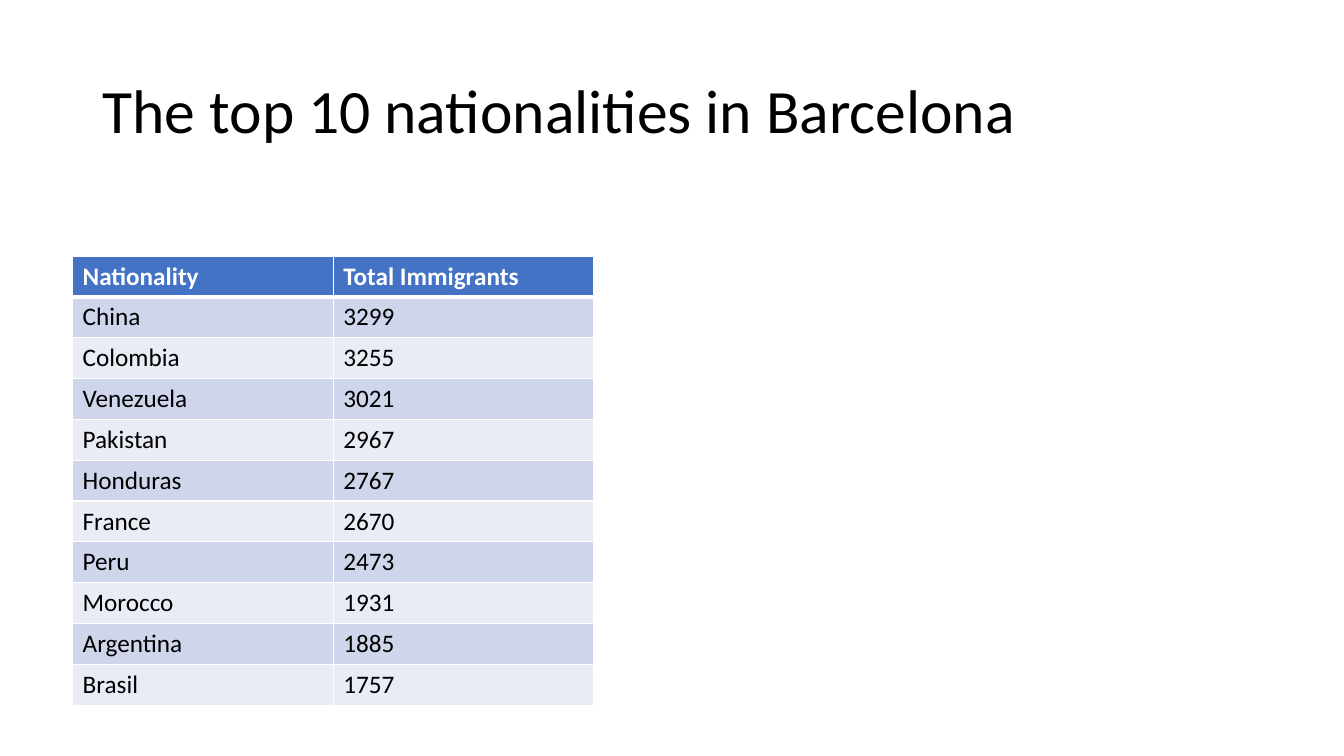
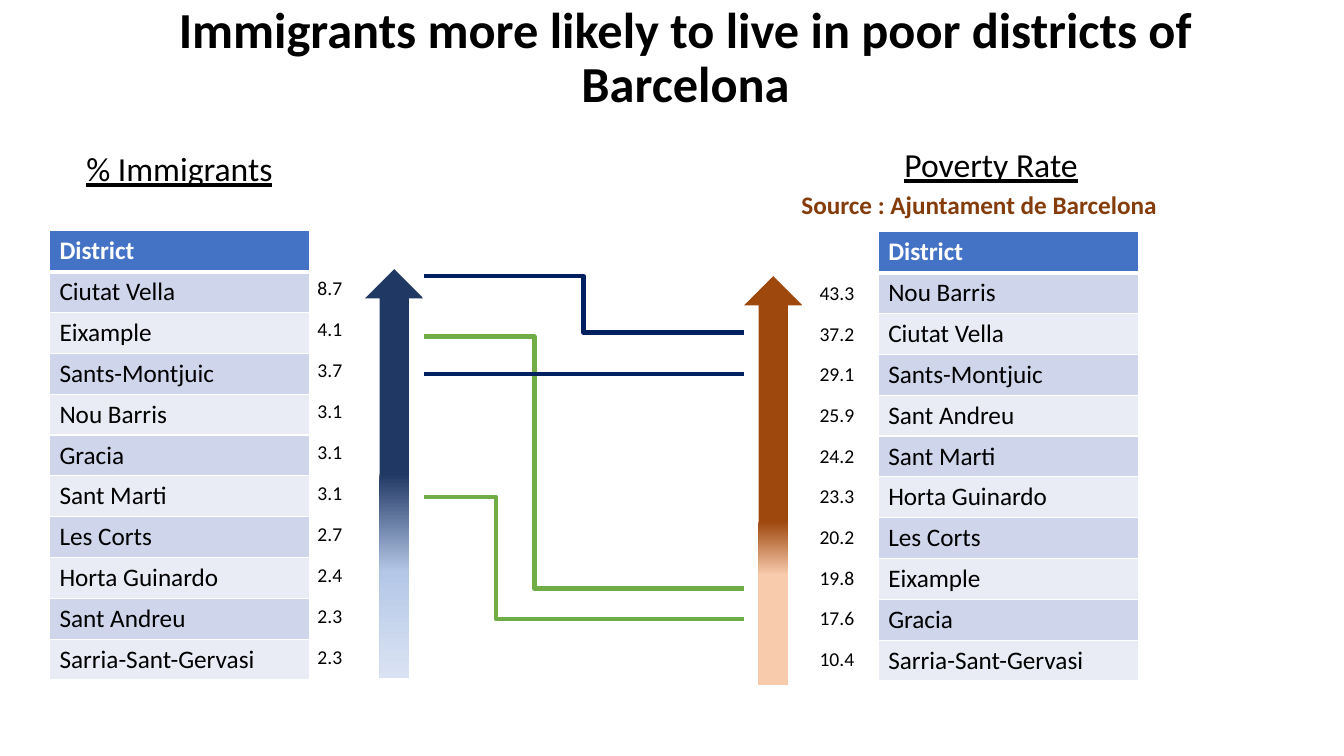
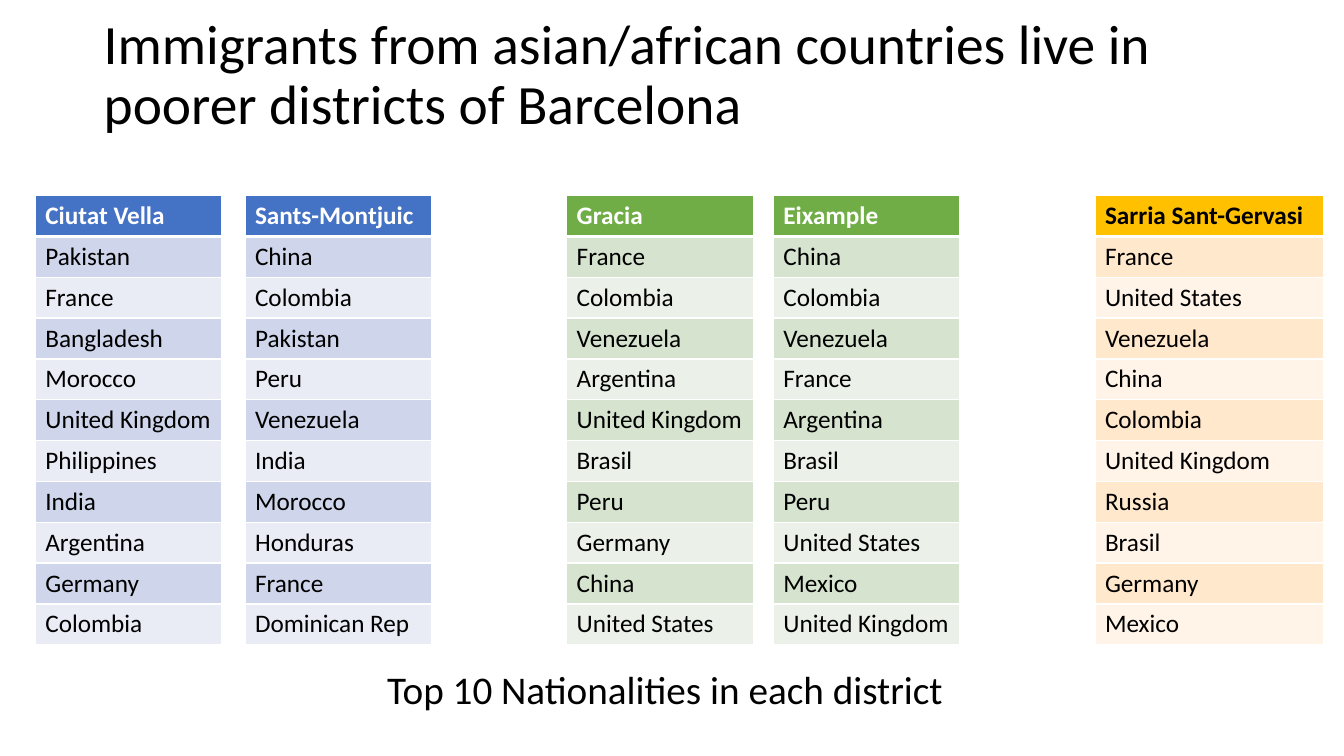
from lxml.etree import SubElement
from pptx import Presentation
from pptx.dml.color import RGBColor
from pptx.enum.shapes import MSO_CONNECTOR, MSO_SHAPE
from pptx.enum.text import MSO_ANCHOR, PP_ALIGN
from pptx.oxml.ns import qn
from pptx.util import Inches, Pt

FONT = "Calibri"
COLORS = {
    "black": "000000", "white": "FFFFFF", "navy": "002060", "green": "70AD47",
    "source": "843C0B", "deep blue": "203864", "soft blue": "B4C7E7",
    "pale blue": "DAE3F3", "rust": "9E480E", "peach": "F8CBAD",
}
THEMES = {
    "blue": {"header": "4472C4", "bands": ("CFD5EA", "E9EBF5"), "heading": "FFFFFF"},
    "green": {"header": "70AD47", "bands": ("D5E3CF", "EBF1E9"), "heading": "FFFFFF"},
    "amber": {"header": "FFC000", "bands": ("FFE8CC", "FFF4E7"), "heading": "000000"},
}
TABLE_HEIGHT = 4.46

NATIONALITIES = [
    ("Nationality", "Total Immigrants"),
    ("China", "3299"), ("Colombia", "3255"), ("Venezuela", "3021"),
    ("Pakistan", "2967"), ("Honduras", "2767"), ("France", "2670"),
    ("Peru", "2473"), ("Morocco", "1931"), ("Argentina", "1885"), ("Brasil", "1757"),
]
IMMIGRANT_SHARE = [
    ("Ciutat Vella", "8.7"), ("Eixample", "4.1"), ("Sants-Montjuic", "3.7"),
    ("Nou Barris", "3.1"), ("Gracia", "3.1"), ("Sant Marti", "3.1"),
    ("Les Corts", "2.7"), ("Horta Guinardo", "2.4"), ("Sant Andreu", "2.3"),
    ("Sarria-Sant-Gervasi", "2.3"),
]
POVERTY_RATE = [
    ("Nou Barris", "43.3"), ("Ciutat Vella", "37.2"), ("Sants-Montjuic", "29.1"),
    ("Sant Andreu", "25.9"), ("Sant Marti", "24.2"), ("Horta Guinardo", "23.3"),
    ("Les Corts", "20.2"), ("Eixample", "19.8"), ("Gracia", "17.6"),
    ("Sarria-Sant-Gervasi", "10.4"),
]
RANKINGS = [
    {"rows": IMMIGRANT_SHARE, "table": (0.49, 2.29), "values": (3.05, 2.69, 0.45),
     "step": 0.407, "heading": ("% Immigrants", 0.75, 1.42, 2.06), "arrow": (3.62, 2.67),
     "stops": [(0, "deep blue"), (50, "deep blue"), (74, "soft blue"), (100, "pale blue")]},
    {"rows": POVERTY_RATE, "table": (8.71, 2.3), "values": (8.03, 2.74, 0.55),
     "step": 0.403, "heading": ("Poverty Rate", 8.86, 1.38, 1.94), "arrow": (7.38, 2.74),
     "stops": [(0, "rust"), (60, "rust"), (73, "peach"), (100, "peach")]},
]
LINK_LEFT, LINK_RIGHT = 4.21, 7.38
LINKS = [
    (2.74, 3.3, 5.79, "navy"),
    (3.34, 5.84, 5.3, "green"),
    (3.71, 3.71, None, "navy"),
    (4.93, 6.14, 4.92, "green"),
]
DISTRICTS = [
    ("Ciutat Vella", "blue", 0.35, 1.85,
     ["Pakistan", "France", "Bangladesh", "Morocco", "United Kingdom",
      "Philippines", "India", "Argentina", "Germany", "Colombia"]),
    ("Sants-Montjuic", "blue", 2.43, 1.85,
     ["China", "Colombia", "Pakistan", "Peru", "Venezuela",
      "India", "Morocco", "Honduras", "France", "Dominican Rep"]),
    ("Gracia", "green", 5.62, 1.85,
     ["France", "Colombia", "Venezuela", "Argentina", "United Kingdom",
      "Brasil", "Peru", "Germany", "China", "United States"]),
    ("Eixample", "green", 7.67, 1.85,
     ["China", "Colombia", "Venezuela", "France", "Argentina",
      "Brasil", "Peru", "United States", "Mexico", "United Kingdom"]),
    ("Sarria Sant-Gervasi", "amber", 10.86, 2.27,
     ["France", "United States", "Venezuela", "China", "Colombia",
      "United Kingdom", "Russia", "Brasil", "Germany", "Mexico"]),
]


def rgb(name):
    return RGBColor.from_string(COLORS[name])


def add_text(slide, text, box, size, color="black", bold=False, underline=False,
             align=PP_ALIGN.LEFT, wrap=False):
    frame = slide.shapes.add_textbox(*map(Inches, box)).text_frame
    frame.word_wrap = wrap
    paragraph = frame.paragraphs[0]
    paragraph.text = text
    paragraph.alignment = align
    font = paragraph.font
    font.name, font.size, font.bold, font.underline = FONT, Pt(size), bold, underline
    font.color.rgb = rgb(color)
    return frame


def add_title(slide, text, box, size, **style):
    frame = add_text(slide, text, box, size, wrap=True, **style)
    frame.vertical_anchor = MSO_ANCHOR.MIDDLE
    frame.paragraphs[0].line_spacing = 0.9


def set_borders(cell, row):
    properties = cell._tc.get_or_add_tcPr()
    widths = {"L": 1, "R": 1, "T": 3 if row == 1 else 1, "B": 3 if row == 0 else 1}
    for side, width in widths.items():
        border = SubElement(properties, qn(f"a:ln{side}"), w=str(Pt(width)))
        fill = SubElement(border, qn("a:solidFill"))
        SubElement(fill, qn("a:srgbClr"), val=COLORS["white"])


def add_banded_table(slide, rows, left, top, width, theme="blue"):
    palette = THEMES[theme]
    table = slide.shapes.add_table(
        len(rows), len(rows[0]), Inches(left), Inches(top), Inches(width), Inches(TABLE_HEIGHT)
    ).table
    table.first_row = table.horz_banding = False
    for r, values in enumerate(rows):
        for c, value in enumerate(values):
            cell = table.cell(r, c)
            set_borders(cell, r)
            cell.fill.solid()
            fill = palette["bands"][(r - 1) % 2] if r else palette["header"]
            cell.fill.fore_color.rgb = RGBColor.from_string(fill)
            cell.text = value
            font = cell.text_frame.paragraphs[0].font
            font.name, font.size, font.bold = FONT, Pt(18), r == 0
            font.color.rgb = rgb("black") if r else RGBColor.from_string(palette["heading"])


def add_gradient_arrow(slide, left, top, stops):
    arrow = slide.shapes.add_shape(
        MSO_SHAPE.UP_ARROW, Inches(left), Inches(top), Inches(0.58), Inches(4.06))
    arrow.shadow.inherit = False
    arrow.line.fill.background()
    arrow.fill.gradient()
    arrow.fill.gradient_angle = 270
    stop_list = arrow._element.spPr.find(".//" + qn("a:gsLst"))
    for stop in list(stop_list):
        stop_list.remove(stop)
    for position, color in stops:
        stop = SubElement(stop_list, qn("a:gs"), pos=str(position * 1000))
        SubElement(stop, qn("a:srgbClr"), val=COLORS[color])


def add_link(slide, start, end, bend, color):
    kind = MSO_CONNECTOR.ELBOW if bend else MSO_CONNECTOR.STRAIGHT
    link = slide.shapes.add_connector(
        kind, Inches(LINK_LEFT), Inches(start), Inches(LINK_RIGHT), Inches(end))
    link.line.width = Pt(3.25)
    link.line.color.rgb = rgb(color)
    properties = link._element.spPr
    SubElement(properties, qn("a:effectLst"))
    if bend:
        share = round((bend - LINK_LEFT) / (LINK_RIGHT - LINK_LEFT) * 100000)
        guides = properties.find(qn("a:prstGeom")).get_or_add_avLst()
        SubElement(guides, qn("a:gd"), name="adj1", fmla=f"val {share}")


def build_nationalities(slide):
    add_title(slide, "The top 10 nationalities in Barcelona", (0.92, 0.4, 11.5, 1.45), 44)
    add_banded_table(slide, NATIONALITIES, 0.72, 2.54, 5.17)


def build_rankings(slide):
    add_title(slide, "Immigrants more likely to live in poor districts of Barcelona",
              (0.73, -0.14, 12.14, 1.45), 36, bold=True, align=PP_ALIGN.CENTER)
    for ranking in RANKINGS:
        heading, left, top, width = ranking["heading"]
        add_text(slide, heading, (left, top, width, 0.5), 24,
                 underline=True, align=PP_ALIGN.CENTER)
        districts = [("District",)] + [(district,) for district, _ in ranking["rows"]]
        add_banded_table(slide, districts, *ranking["table"], 2.58)
        add_gradient_arrow(slide, *ranking["arrow"], ranking["stops"])
        left, top, width = ranking["values"]
        for i, (_, value) in enumerate(ranking["rows"]):
            add_text(slide, value, (left, top + i * ranking["step"], width, 0.34), 14)
    add_text(slide, "Source : Ajuntament de Barcelona", (7.85, 1.83, 3.76, 0.4), 18,
             color="source", bold=True)
    for link in LINKS:
        add_link(slide, *link)


def build_districts(slide):
    add_title(slide,
              "Immigrants from asian/african countries live in poorer districts of Barcelona",
              (0.93, 0.3, 10.9, 0.91), 39.6)
    for district, theme, left, width, countries in DISTRICTS:
        rows = [(name,) for name in [district, *countries]]
        add_banded_table(slide, rows, left, 1.94, width, theme)
    add_text(slide, "Top 10 Nationalities in each district", (3.74, 6.55, 5.78, 0.57), 28)


def main():
    deck = Presentation()
    deck.slide_width, deck.slide_height = Inches(13.33), Inches(7.5)
    for build in (build_nationalities, build_rankings, build_districts):
        build(deck.slides.add_slide(deck.slide_layouts[6]))
    deck.save("out.pptx")


if __name__ == "__main__":
    main()
